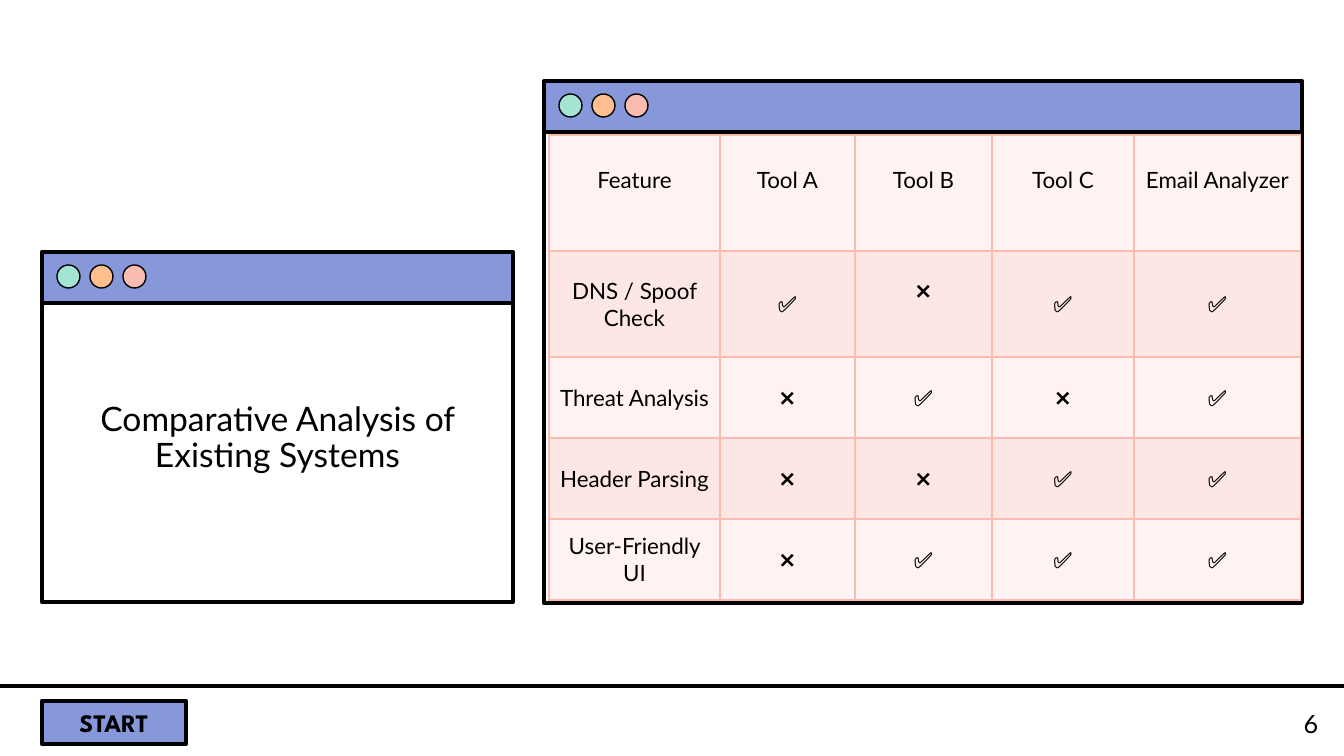
"""Build the comparative analysis slide with two windows and a feature table."""
from dataclasses import dataclass

from lxml import etree
from pptx import Presentation
from pptx import util as u
from pptx.dml.color import RGBColor
from pptx.enum import shapes, text
from pptx.oxml.ns import qn

TITLE = "Comparative Analysis of Existing Systems"
BUTTON = "START"
PAGE_NUMBER = "6"
ROWS = [
    ("Feature", "Tool A", "Tool B", "Tool C", "Email Analyzer"),
    ("DNS / Spoof Check", "✅", "❌", "✅", "✅"),
    ("Threat Analysis", "❌", "✅", "❌", "✅"),
    ("Header Parsing", "❌", "❌", "✅", "✅"),
    ("User-Friendly UI", "❌", "✅", "✅", "✅"),
]
RAISED_CELLS = {(0, column) for column in range(5)} | {(1, 2)}

SLIDE_SIZE = (1344, 756)
WINDOWS = [(42, 252, 471, 350), (544, 81, 758, 522)]
BAR_HEIGHT = 51
DOT_SIZE, DOT_PITCH, DOT_LEFT, DOT_TOP = 23, 33, 15, 13
TITLE_BOX = (42, 340, 471, 233)
TABLE_LEFT, TABLE_TOP = 549, 135
COLUMN_WIDTHS = [171, 135, 137, 142, 167]
ROW_HEIGHTS = [116, 106, 81, 81, 81]
FOOTER_TOP = 686
BUTTON_BOX = (42, 701, 144, 43)
NUMBER_BOX = (1276, 686, 70, 70)


@dataclass(frozen=True)
class Theme:
    """Colours, fonts and type sizes."""
    ink: str = "000000"
    paper: str = "FFFFFF"
    bar: str = "8698DA"
    dots: tuple = ("A4E4D2", "FFBF8F", "FABBB0")
    bands: tuple = ("FEF3F2", "FDE7E4")
    border: str = "FABBB0"
    body_font: str = "Lato"
    button_font: str = "League Spartan"
    title_size: int = 24
    label_size: int = 18
    table_size: int = 16
    heavy: int = 3
    thin: int = 1


THEME = Theme()


def px(length):
    return u.Emu(round(length * 914400 / 100.8))


def place(box):
    return [px(length) for length in box]


def color(value):
    return RGBColor.from_string(value)


def write(frame, content, size, font=THEME.body_font, bold=False):
    frame.text = content
    frame.word_wrap = True
    paragraph = frame.paragraphs[0]
    paragraph.alignment = text.PP_ALIGN.CENTER
    style = paragraph.runs[0].font
    style.name, style.size, style.bold = font, u.Pt(size), bold
    style.color.rgb = color(THEME.ink)
    return paragraph


def add_block(slide, kind, box, fill, weight=THEME.heavy):
    shape = slide.shapes.add_shape(kind, *place(box))
    shape.shadow.inherit = False
    shape.fill.solid()
    shape.fill.fore_color.rgb = color(fill)
    shape.line.color.rgb = color(THEME.ink)
    shape.line.width = u.Pt(weight)
    return shape


def add_window(slide, left, top, width, height):
    rectangle = shapes.MSO_SHAPE.RECTANGLE
    body = (left, top + BAR_HEIGHT, width, height - BAR_HEIGHT)
    add_block(slide, rectangle, body, THEME.paper)
    add_block(slide, rectangle, (left, top, width, BAR_HEIGHT), THEME.bar)
    for index, fill in enumerate(THEME.dots):
        dot = (left + DOT_LEFT + index * DOT_PITCH, top + DOT_TOP, DOT_SIZE, DOT_SIZE)
        add_block(slide, shapes.MSO_SHAPE.OVAL, dot, fill, THEME.thin)


def add_footer(slide):
    rule = slide.shapes.add_connector(
        shapes.MSO_CONNECTOR.STRAIGHT, *place((0, FOOTER_TOP, SLIDE_SIZE[0], FOOTER_TOP)))
    rule.line.color.rgb = color(THEME.ink)
    rule.line.width = u.Pt(THEME.heavy)
    etree.SubElement(rule.element.spPr, qn("a:effectLst"))

    button = add_block(slide, shapes.MSO_SHAPE.RECTANGLE, BUTTON_BOX, THEME.bar)
    button.text_frame.vertical_anchor = text.MSO_ANCHOR.MIDDLE
    write(button.text_frame, BUTTON, THEME.label_size, THEME.button_font, True)

    frame = slide.shapes.add_textbox(*place(NUMBER_BOX)).text_frame
    frame.vertical_anchor = text.MSO_ANCHOR.MIDDLE
    frame.margin_top = px(10)
    write(frame, PAGE_NUMBER, THEME.label_size).space_after = u.Pt(6)


def format_title(slide):
    title = slide.shapes.title
    title.left, title.top, title.width, title.height = place(TITLE_BOX)
    title.element.getparent().append(title.element)
    frame = title.text_frame
    frame.auto_size = text.MSO_AUTO_SIZE.NONE
    frame.vertical_anchor = text.MSO_ANCHOR.MIDDLE
    frame.margin_top, frame.margin_bottom = px(10), px(46)
    paragraph = write(frame, TITLE, THEME.title_size)
    paragraph.line_spacing = 0.9
    paragraph.space_before = u.Pt(0)


def add_borders(cell):
    properties = cell._tc.get_or_add_tcPr()
    for side in ("lnL", "lnR", "lnT", "lnB"):
        line = etree.SubElement(properties, qn(f"a:{side}"), w=str(u.Pt(THEME.thin)))
        fill = etree.SubElement(line, qn("a:solidFill"))
        etree.SubElement(fill, qn("a:srgbClr"), val=THEME.border)


def add_feature_table(slide):
    box = (TABLE_LEFT, TABLE_TOP, sum(COLUMN_WIDTHS), sum(ROW_HEIGHTS))
    table = slide.shapes.add_table(len(ROWS), len(ROWS[0]), *place(box)).table
    table.first_row = table.horz_banding = False
    for column, width in zip(table.columns, COLUMN_WIDTHS):
        column.width = px(width)
    for row_index, (values, height) in enumerate(zip(ROWS, ROW_HEIGHTS)):
        table.rows[row_index].height = px(height)
        for column_index, value in enumerate(values):
            cell = table.cell(row_index, column_index)
            add_borders(cell)
            cell.fill.solid()
            cell.fill.fore_color.rgb = color(THEME.bands[row_index % 2])
            cell.vertical_anchor = text.MSO_ANCHOR.MIDDLE
            cell.margin_left = cell.margin_right = px(9)
            cell.margin_top = px(4)
            cell.margin_bottom = px(31 if (row_index, column_index) in RAISED_CELLS else 4)
            write(cell.text_frame, value, THEME.table_size)


def main():
    presentation = Presentation()
    presentation.slide_width, presentation.slide_height = place(SLIDE_SIZE)
    slide = presentation.slides.add_slide(presentation.slide_layouts[5])
    slide.background.fill.solid()
    slide.background.fill.fore_color.rgb = color(THEME.paper)
    for window in WINDOWS:
        add_window(slide, *window)
    add_footer(slide)
    format_title(slide)
    add_feature_table(slide)
    presentation.save("out.pptx")


if __name__ == "__main__":
    main()
